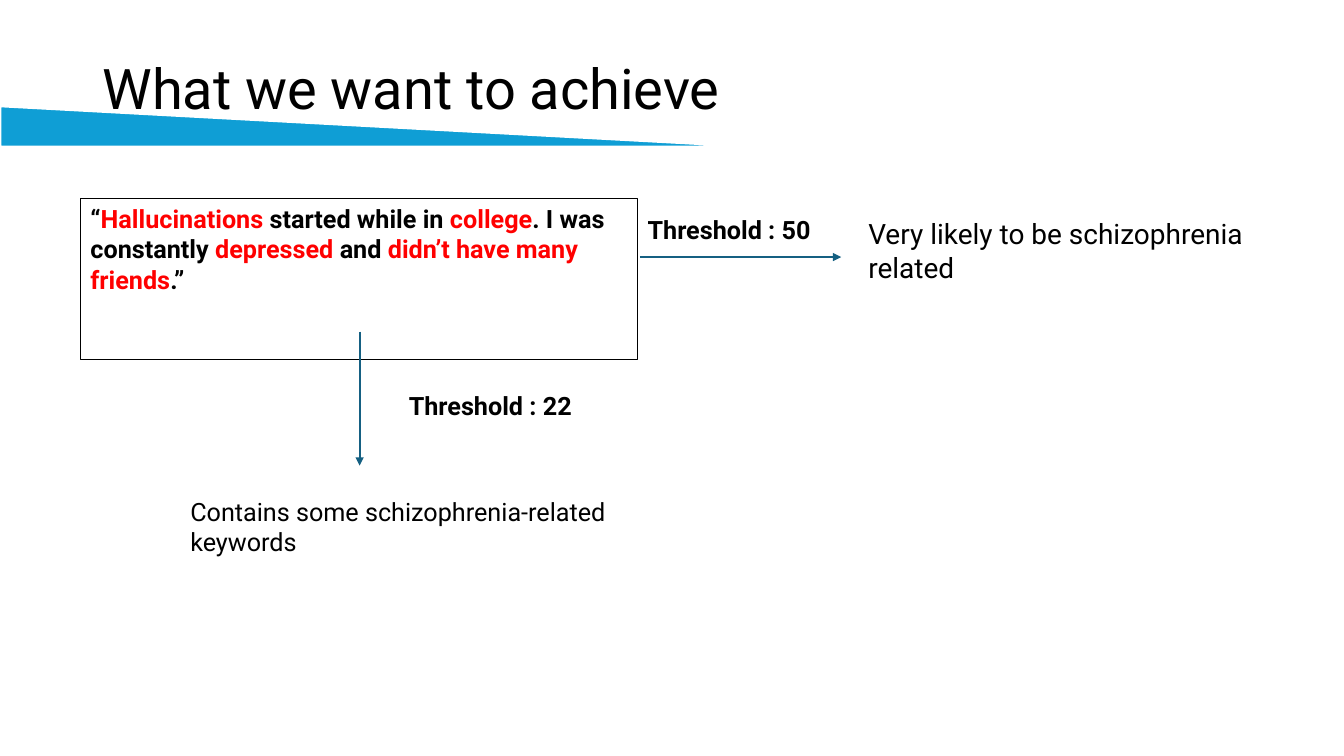
from lxml import etree
from pptx import Presentation
from pptx import util as u
from pptx.dml.color import RGBColor
from pptx.enum import shapes, text
from pptx.oxml.ns import qn

FONT = "Roboto"
BLACK, WHITE, RED = "000000", "FFFFFF", "FF0000"
BLUE, TEAL = "0F9ED5", "156082"


def paint(color_format, value):
    """Give a fill, line or font colour the hex value."""
    color_format.rgb = RGBColor.from_string(value)


def points(*lengths):
    """Turn numbers into lengths in points."""
    return [u.Pt(length) for length in lengths]


def write(shape, lines, size=18, bold=False, wrap=True, anchor="TOP", spacing=1.0):
    """Fill a shape with lines, each a list of (words, colour) spans."""
    frame = shape.text_frame
    frame.word_wrap = wrap
    frame.vertical_anchor = text.MSO_ANCHOR[anchor]
    for index, spans in enumerate(lines):
        para = frame.add_paragraph() if index else frame.paragraphs[0]
        para.alignment = text.PP_ALIGN.LEFT
        para.line_spacing = spacing
        para.font.name, para.font.size, para.font.bold = FONT, u.Pt(size), bold
        for words, color in spans:
            span = para.add_run()
            span.text = words
            paint(span.font.color, color)


def add_text(page, place, lines, **style):
    """Add a text box of plain black lines."""
    box = page.shapes.add_textbox(*points(*place))
    write(box, [[(line, BLACK)] for line in lines], **style)


def add_outlined(page, kind, place, line, width, fill=None):
    """Add a preset shape with an outline and an optional fill."""
    shape = page.shapes.add_shape(kind, *points(*place))
    shape.shadow.inherit = False
    if fill:
        shape.fill.solid()
        paint(shape.fill.fore_color, fill)
    else:
        shape.fill.background()
    paint(shape.line.color, line)
    shape.line.width = u.Pt(width)
    return shape


def add_arrow(page, *ends):
    """Add a straight arrow from one point to another."""
    arrow = page.shapes.add_connector(shapes.MSO_CONNECTOR.STRAIGHT, *points(*ends))
    paint(arrow.line.color, TEAL)
    arrow.line.width = u.Pt(1.5)
    etree.SubElement(arrow.line._get_or_add_ln(), qn("a:tailEnd"), type="triangle")
    etree.SubElement(arrow._element.spPr, qn("a:effectLst"))


def main():
    """Build the slide on keyword thresholds and save it."""
    deck = Presentation()
    deck.slide_width, deck.slide_height = points(960.48, 540)
    page = deck.slides.add_slide(deck.slide_layouts[6])

    add_text(page, (66.24, 36, 739.44, 54.72), ["What we want to achieve"],
             size=40, anchor="BOTTOM", spacing=0.9)

    quote = add_outlined(page, shapes.MSO_SHAPE.RECTANGLE,
                         (57.6, 141.84, 398.16, 115.2), BLACK, 0.74)
    write(quote, [
        [("“", BLACK), ("Hallucinations", RED), (" started while in ", BLACK),
         ("college", RED), (". I was ", BLACK)],
        [("constantly ", BLACK), ("depressed", RED), (" and ", BLACK),
         ("didn’t have many friends", RED), (".”", BLACK)],
    ], bold=True)

    add_outlined(page, shapes.MSO_SHAPE.RIGHT_TRIANGLE,
                 (0, 75.6, 546.48, 29.52), WHITE, 2, fill=BLUE)

    add_arrow(page, 457.2, 183.6, 601.2, 183.6)
    add_arrow(page, 257.04, 236.88, 257.04, 332.64)

    for left, top, score in ((455.76, 149.76, 50), (285.12, 275.04, 22)):
        add_text(page, (left, top, 138.96, 28.8), [f"Threshold : {score}"],
                 bold=True, wrap=False)

    add_text(page, (128.88, 350.64, 351.36, 50.4),
             ["Contains some schizophrenia-related", "keywords"], anchor="MIDDLE")
    add_text(page, (613.44, 151.2, 307.44, 55.44),
             ["Very likely to be schizophrenia related"], size=20)

    deck.save("out.pptx")


main()
